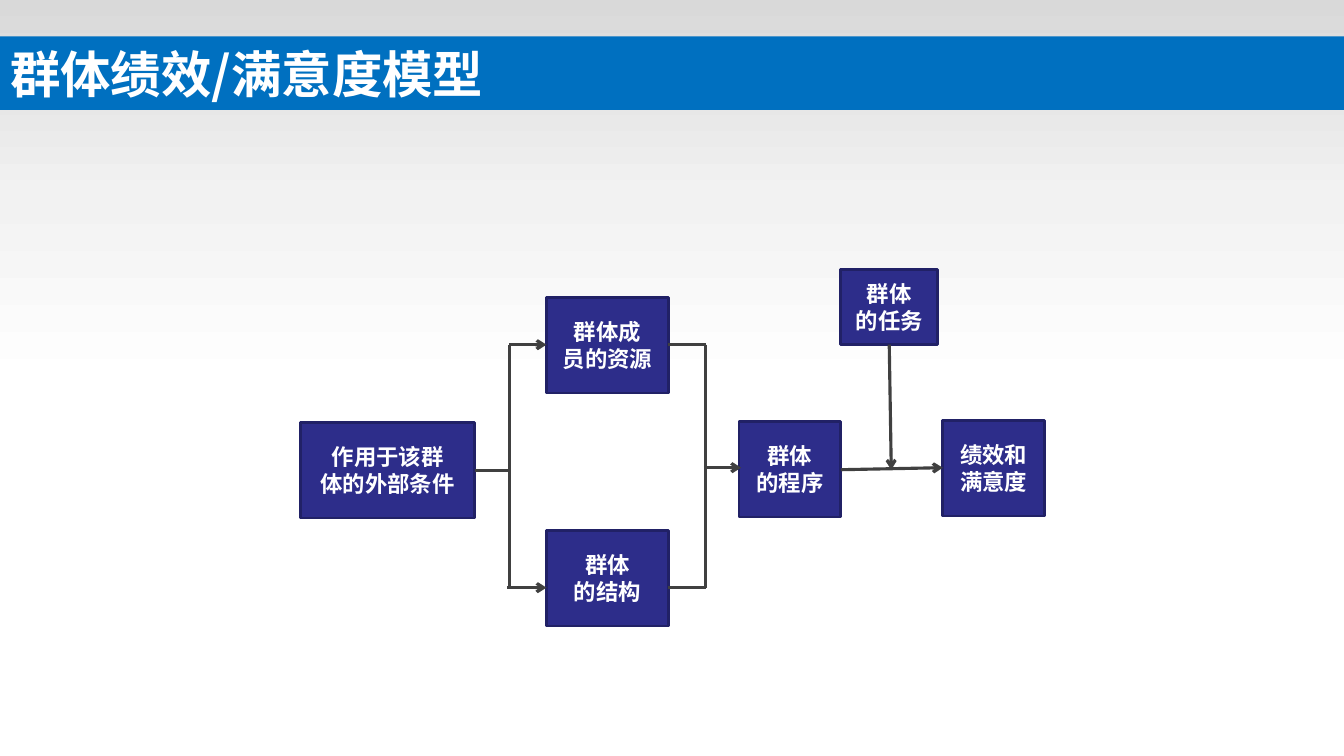
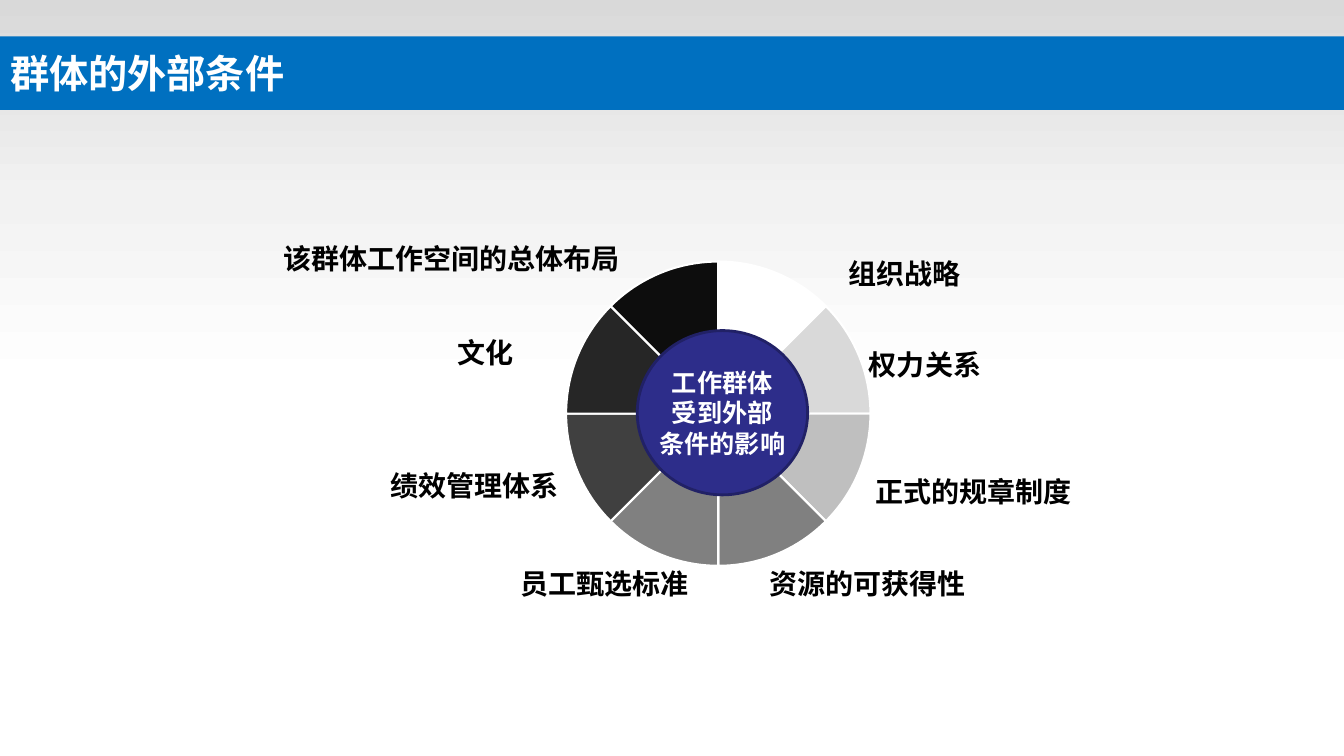
"""Build two slides on group performance and the external conditions of a group."""
from copy import deepcopy

from lxml.etree import SubElement
from pptx import Presentation
from pptx.chart.data import CategoryChartData
from pptx.dml.color import RGBColor
from pptx.enum.chart import XL_CHART_TYPE
from pptx.enum.shapes import MSO_CONNECTOR, MSO_SHAPE
from pptx.enum.text import MSO_ANCHOR, MSO_AUTO_SIZE, PP_ALIGN
from pptx.oxml import parse_xml
from pptx.oxml.ns import nsdecls, qn
from pptx.util import Inches, Pt

COLORS = {
    "title": "0070C0",
    "node": "2D2D8A",
    "node_edge": "212166",
    "line": "404040",
    "white": "FFFFFF",
    "black": "000000",
}
BACKDROP = [(0, "D9D9D9"), (0.26, "F2F2F2"), (0.51, "FFFFFF")]
LATIN, CHINESE = "Arial", "Noto Sans CJK SC"


def rgb(name):
    return RGBColor.from_string(COLORS.get(name, name))


class Deck:
    def __init__(self):
        self.presentation = Presentation()
        self.presentation.slide_width = Inches(13.33)
        self.presentation.slide_height = Inches(7.5)
        self.slide = None
        self.paint_backdrop()

    def paint_backdrop(self):
        master = self.presentation.slide_master
        fill = master.background.fill
        fill.gradient()
        fill.gradient_angle = 270
        stop_list = master.element.find(".//" + qn("a:gsLst"))
        stop_list.append(deepcopy(stop_list[0]))
        for stop, (position, color) in zip(fill.gradient_stops, BACKDROP):
            stop.position = position
            stop.color.rgb = rgb(color)

    def set_text(self, shape, text, size, color, align, latin=LATIN, wrap=True):
        frame = shape.text_frame
        frame.text = text
        frame.word_wrap = wrap
        frame.auto_size = MSO_AUTO_SIZE.NONE
        frame.vertical_anchor = MSO_ANCHOR.MIDDLE
        for paragraph in frame.paragraphs:
            paragraph.alignment = align
            font = paragraph.font
            font.size = Pt(size)
            font.bold = True
            font.color.rgb = rgb(color)
            font.name = latin
            properties = paragraph._p.find(".//" + qn("a:defRPr"))
            SubElement(properties, qn("a:ea"), typeface=CHINESE)

    def add_slide(self, title, size):
        self.slide = self.presentation.slides.add_slide(self.presentation.slide_layouts[5])
        shape = self.slide.shapes.title
        shape.left, shape.top = Inches(0), Inches(0.36)
        shape.width, shape.height = Inches(13.33), Inches(0.73)
        shape.fill.solid()
        shape.fill.fore_color.rgb = rgb("title")
        self.set_text(shape, title, size, "white", PP_ALIGN.LEFT, CHINESE)

    def add_node(self, kind, text, left, top, width, height, size=16):
        shape = self.slide.shapes.add_shape(
            kind, Inches(left), Inches(top), Inches(width), Inches(height))
        shape.shadow.inherit = False
        shape.fill.solid()
        shape.fill.fore_color.rgb = rgb("node")
        shape.line.color.rgb = rgb("node_edge")
        shape.line.width = Pt(2)
        self.set_text(shape, text, size, "white", PP_ALIGN.CENTER, wrap=False)

    def add_line(self, start, end, arrow=False):
        connector = self.slide.shapes.add_connector(
            MSO_CONNECTOR.STRAIGHT, *(Inches(value) for value in (*start, *end)))
        connector.line.color.rgb = rgb("line")
        connector.line.width = Pt(2.25)
        properties = connector._element.spPr
        if arrow:
            SubElement(properties.find(qn("a:ln")), qn("a:tailEnd"), type="arrow")
        SubElement(properties, qn("a:effectLst"))

    def add_label(self, text, left, top, width):
        box = self.slide.shapes.add_textbox(
            Inches(left), Inches(top), Inches(width), Inches(0.44))
        self.set_text(box, text, 20, "black", PP_ALIGN.LEFT, wrap=False)

    def add_pie(self, colors, left, top, width, height, diameter):
        data = CategoryChartData()
        data.categories = [str(number) for number in range(1, len(colors) + 1)]
        data.add_series("Series 1", [12] * len(colors))
        chart = self.slide.shapes.add_chart(
            XL_CHART_TYPE.PIE, Inches(left), Inches(top),
            Inches(width), Inches(height), data).chart
        chart.has_title = False
        chart.has_legend = False
        chart.font.name = LATIN
        chart.font.size = Pt(10)
        chart.font.color.rgb = rgb("black")
        plot = chart.plots[0]
        plot.vary_by_categories = True
        for index, color in enumerate(colors):
            slice_format = plot.series[0].points[index].format
            slice_format.fill.solid()
            slice_format.fill.fore_color.rgb = rgb(color)
            slice_format.line.color.rgb = rgb("white")
            slice_format.line.width = Pt(1.5)
        plot_area = chart._chartSpace.find(".//" + qn("c:plotArea"))
        SubElement(plot_area.find(qn("c:pieChart")), qn("c:firstSliceAng"), val="45")
        across, down = diameter / width, diameter / height
        plot_area.insert(0, parse_xml(
            f'<c:layout {nsdecls("c")}><c:manualLayout><c:layoutTarget val="inner"/>'
            '<c:xMode val="edge"/><c:yMode val="edge"/>'
            f'<c:x val="{(1 - across) / 2}"/><c:y val="{(1 - down) / 2}"/>'
            f'<c:w val="{across}"/><c:h val="{down}"/>'
            '</c:manualLayout></c:layout>'))


def build_model(deck):
    deck.add_slide("群体绩效/满意度模型", 36)
    for text, left, top, width, height in [
        ("作用于该群\n体的外部条件", 2.98, 4.19, 1.73, 0.95),
        ("群体\n的结构", 5.42, 5.26, 1.21, 0.95),
        ("群体成\n员的资源", 5.42, 2.95, 1.21, 0.95),
        ("群体\n的程序", 7.33, 4.18, 1.01, 0.95),
        ("群体\n的任务", 8.34, 2.67, 0.96, 0.75),
        ("绩效和\n满意度", 9.35, 4.17, 1.01, 0.95),
    ]:
        deck.add_node(MSO_SHAPE.RECTANGLE, text, left, top, width, height)
    upper, lower = 3.42, 5.83
    fork, join = 5.05, 7
    for start, end in [
        ((4.71, 4.67), (fork, 4.67)),
        ((fork, upper), (fork, lower)),
        ((join, lower), (6.63, lower)),
        ((6.63, upper), (join, upper)),
        ((join, upper), (join, lower)),
    ]:
        deck.add_line(start, end)
    for start, end in [
        ((fork, upper), (5.42, upper)),
        ((8.34, 4.66), (9.35, 4.64)),
        ((6.98, 4.64), (7.35, 4.64)),
        ((5.03, lower), (5.42, lower)),
        ((8.82, upper), (8.84, 4.66)),
    ]:
        deck.add_line(start, end, arrow=True)


def build_conditions(deck):
    deck.add_slide("群体的外部条件", 28)
    slice_colors = ["D9D9D9", "BFBFBF", "808080", "808080",
                    "404040", "262626", "0D0D0D", "FFFFFF"]
    deck.add_pie(slice_colors, 4.51, 2.45, 5.23, 3.31, 3.02)
    deck.add_node(MSO_SHAPE.OVAL, "工作群体\n受到外部\n条件的影响",
                  6.32, 3.28, 1.69, 1.63, size=18)
    for text, left, top, width in [
        ("组织战略", 8.32, 2.49, 1.33),
        ("权力关系", 8.52, 3.39, 1.33),
        ("正式的规章制度", 8.58, 4.65, 2.18),
        ("资源的可获得性", 7.53, 5.57, 2.18),
        ("员工甄选标准", 5.06, 5.57, 1.9),
        ("绩效管理体系", 3.77, 4.59, 1.9),
        ("文化", 4.44, 3.28, 0.77),
        ("该群体工作空间的总体布局", 2.71, 2.34, 3.59),
    ]:
        deck.add_label(text, left, top, width)


def main():
    deck = Deck()
    build_model(deck)
    build_conditions(deck)
    deck.presentation.save("out.pptx")


if __name__ == "__main__":
    main()
